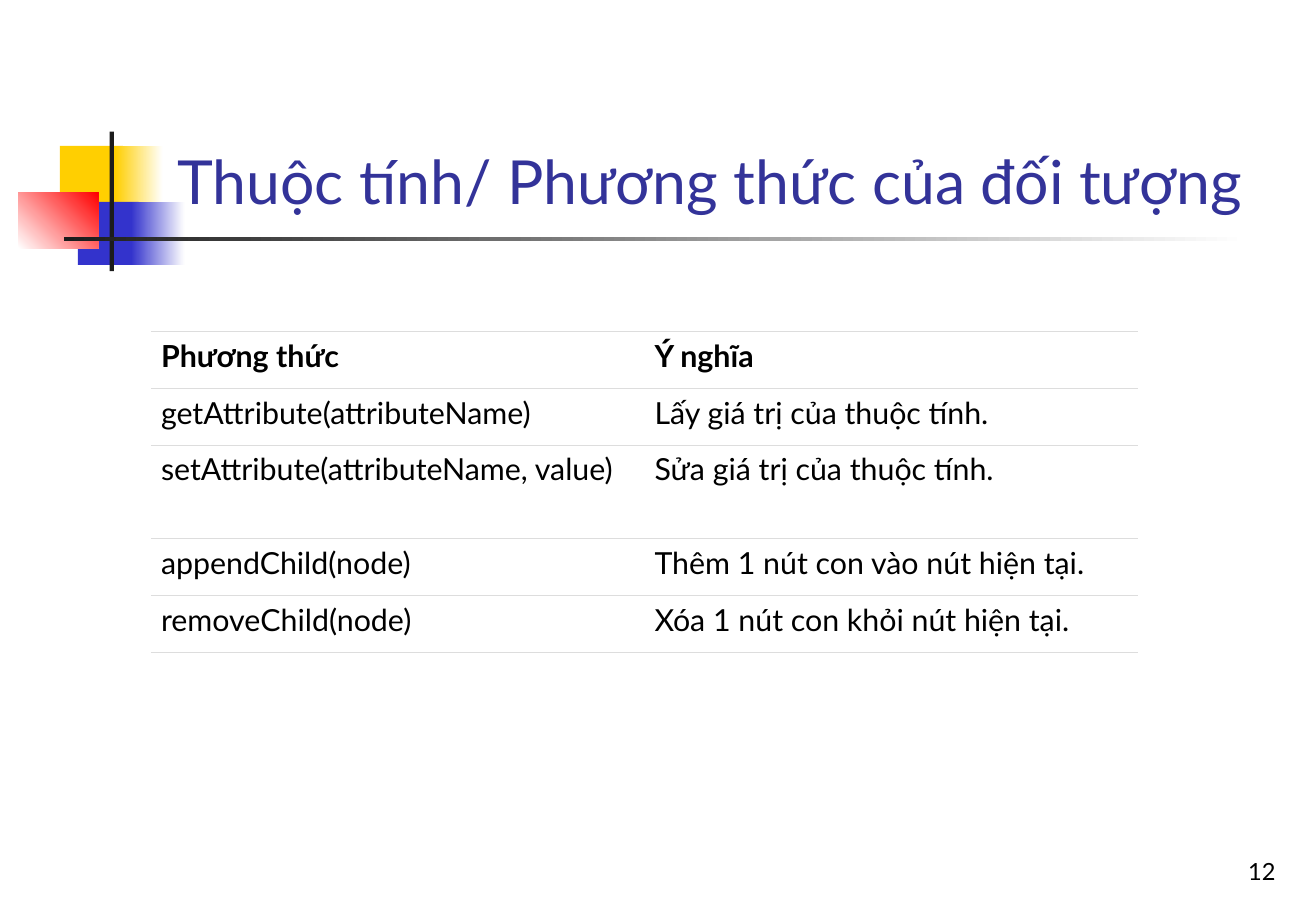
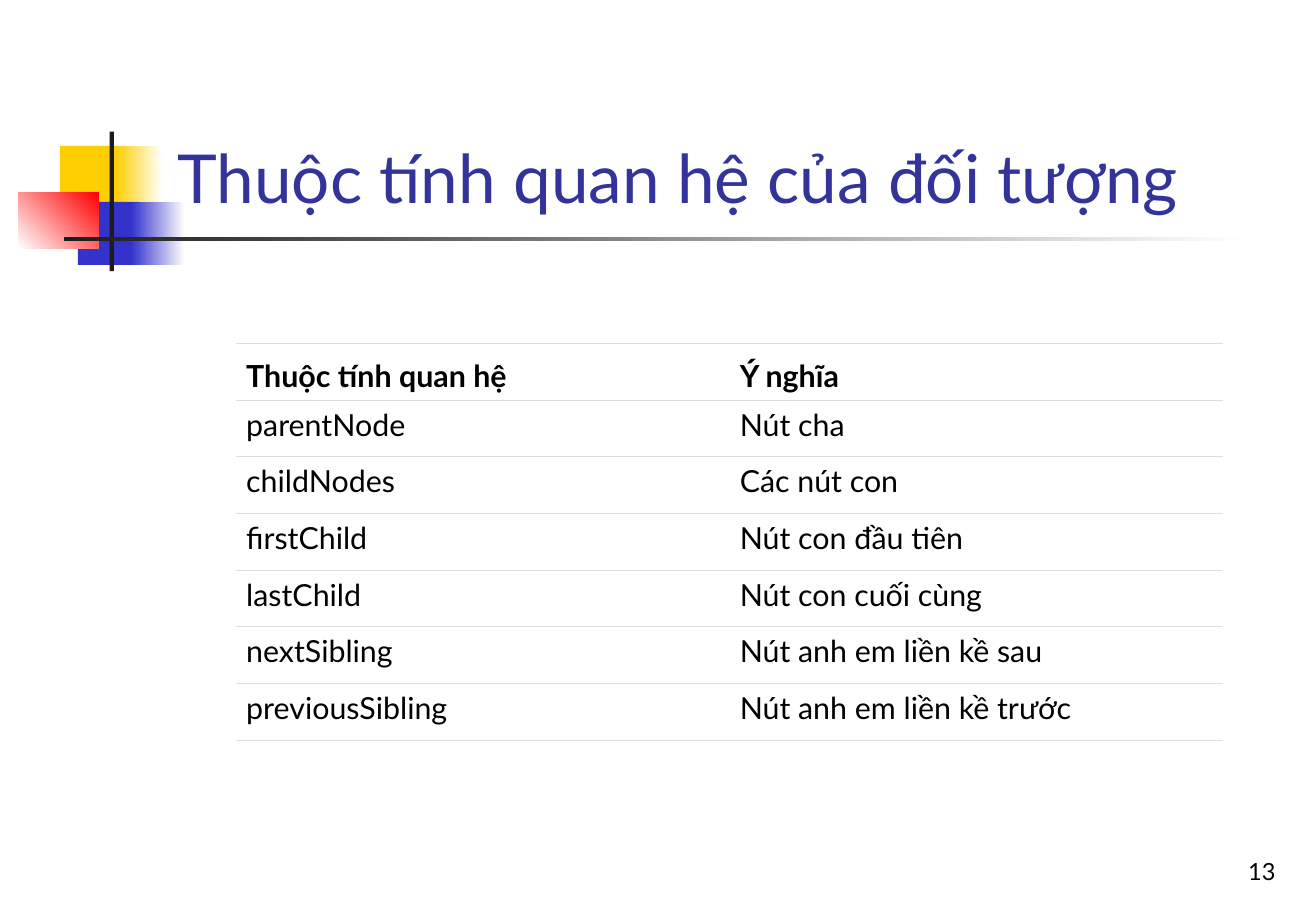
from lxml.etree import SubElement
from pptx import Presentation
from pptx.dml.color import RGBColor
from pptx.enum.shapes import MSO_SHAPE
from pptx.enum.text import MSO_ANCHOR, MSO_AUTO_SIZE, PP_ALIGN
from pptx.oxml import parse_xml
from pptx.oxml.ns import nsdecls, qn
from pptx.util import Pt

FONT = "Lato"
WHITE, BLACK, INK = "FFFFFF", "000000", "1C1C1C"
YELLOW, BLUE, RED = "FFCF01", "3333CC", "FF0000"
TITLE_COLOR, RULE_COLOR = "333399", "DDDDDD"

# Left, top, width, height, colours (two make a gradient), gradient angle
EMBLEM = [
    (35.5, 86.5, 37.4, 37.4, [YELLOW], 0),
    (68.4, 86.5, 28.1, 37.4, [YELLOW, WHITE], 0),
    (46.2, 119.7, 36, 37.4, [BLUE], 0),
    (77.8, 119.7, 31.7, 37.4, [BLUE, WHITE], 0),
    (10.8, 114, 47.5, 33.1, [WHITE, RED], 45),
    (65, 78, 2.6, 82.8, [INK], 0),
    (37.8, 140.5, 702, 2.3, [INK, WHITE], 0),
]

METHODS = [
    ("Phương thức", "Ý nghĩa"),
    ("getAttribute(attributeName)", "Lấy giá trị của thuộc tính."),
    ("setAttribute(attributeName, value)", "Sửa giá trị của thuộc tính."),
    ("appendChild(node)", "Thêm 1 nút con vào nút hiện tại."),
    ("removeChild(node)", "Xóa 1 nút con khỏi nút hiện tại."),
]

RELATIONS = [
    ("Thuộc tính quan hệ", "Ý nghĩa"),
    ("parentNode", "Nút cha"),
    ("childNodes", "Các nút con"),
    ("firstChild", "Nút con đầu tiên"),
    ("lastChild", "Nút con cuối cùng"),
    ("nextSibling", "Nút anh em liền kề sau"),
    ("previousSibling", "Nút anh em liền kề trước"),
]


def rgb(color):
    return RGBColor.from_string(color)


def rule_cell(cell):
    """Draw thin rules above and below the cell and none at its sides."""
    properties = cell._tc.get_or_add_tcPr()
    for position, side in enumerate(("lnL", "lnR", "lnT", "lnB")):
        border = parse_xml(f"<a:{side} {nsdecls('a')}/>")
        if side in ("lnT", "lnB"):
            border.set("w", str(int(Pt(0.34))))
            fill = SubElement(border, qn("a:solidFill"))
            SubElement(fill, qn("a:srgbClr"), val=RULE_COLOR)
        else:
            SubElement(border, qn("a:noFill"))
        properties.insert(position, border)


class Deck:
    """Holds the presentation, its style and the current slide."""

    column_width = 292.6
    row_height = 33.6

    def __init__(self):
        self.presentation = Presentation()
        self.presentation.slide_width = Pt(780.2)
        self.presentation.slide_height = Pt(540)
        self.slide = None

    def add_slide(self, title, title_size, number):
        layout = self.presentation.slide_layouts[5]
        self.slide = self.presentation.slides.add_slide(layout)
        for left, top, width, height, colors, angle in EMBLEM:
            self.block(left, top, width, height, colors, angle)
        self.title(title, title_size)
        self.page_number(number)

    def style(self, paragraph, size, color=BLACK, bold=False):
        font = paragraph.font
        font.name, font.size, font.bold = FONT, Pt(size), bold
        font.color.rgb = rgb(color)

    def block(self, left, top, width, height, colors, angle):
        block = self.slide.shapes.add_shape(
            MSO_SHAPE.RECTANGLE, Pt(left), Pt(top), Pt(width), Pt(height))
        block.shadow.inherit = False
        block.line.fill.background()
        if len(colors) == 1:
            block.fill.solid()
            block.fill.fore_color.rgb = rgb(colors[0])
            return
        block.fill.gradient()
        block.fill.gradient_angle = angle
        for stop, color in zip(block.fill.gradient_stops, colors):
            stop.color.rgb = rgb(color)

    def title(self, text, size):
        title = self.slide.shapes.title
        title.left, title.top = Pt(98), Pt(16.8)
        title.width, title.height = Pt(664.5), Pt(115.2)
        # The title lies in front of the emblem
        self.slide.shapes.element.append(title.element)
        frame = title.text_frame
        frame.text = text
        frame.auto_size = MSO_AUTO_SIZE.NONE
        frame.vertical_anchor = MSO_ANCHOR.BOTTOM
        frame.paragraphs[0].alignment = PP_ALIGN.LEFT
        self.style(frame.paragraphs[0], size, TITLE_COLOR)

    def page_number(self, number):
        frame = self.slide.shapes.add_textbox(
            Pt(600.6), Pt(492), Pt(162.7), Pt(36)).text_frame
        frame.word_wrap = True
        frame.vertical_anchor = MSO_ANCHOR.BOTTOM
        frame.text = str(number)
        frame.paragraphs[0].alignment = PP_ALIGN.RIGHT
        self.style(frame.paragraphs[0], 14)

    def table(self, left, top, rows, header_anchor=MSO_ANCHOR.TOP, tall_rows=None):
        """Add a ruled table; tall_rows maps a row index to its own height."""
        heights = [(tall_rows or {}).get(i, self.row_height) for i in range(len(rows))]
        columns = len(rows[0])
        table = self.slide.shapes.add_table(
            len(rows), columns, Pt(left), Pt(top),
            Pt(columns * self.column_width), Pt(sum(heights))).table
        table.first_row = table.horz_banding = False
        for column in table.columns:
            column.width = Pt(self.column_width)
        for i, texts in enumerate(rows):
            table.rows[i].height = Pt(heights[i])
            for j, text in enumerate(texts):
                cell = table.cell(i, j)
                cell.text = text
                cell.margin_left = cell.margin_right = Pt(6)
                cell.margin_top = cell.margin_bottom = Pt(3.6)
                cell.vertical_anchor = MSO_ANCHOR.TOP if i else header_anchor
                cell.fill.solid()
                cell.fill.fore_color.rgb = rgb(WHITE)
                rule_cell(cell)
                self.style(cell.text_frame.paragraphs[0], 18, bold=i == 0)


def main():
    deck = Deck()
    deck.add_slide("Thuộc tính/ Phương thức của đối tượng", 36, 12)
    deck.table(89.5, 196.5, METHODS, tall_rows={2: 55.6})
    deck.add_slide("Thuộc tính quan hệ của đối tượng", 40, 13)
    deck.table(140, 203.5, RELATIONS, header_anchor=MSO_ANCHOR.BOTTOM)
    deck.presentation.save("out.pptx")


if __name__ == "__main__":
    main()
